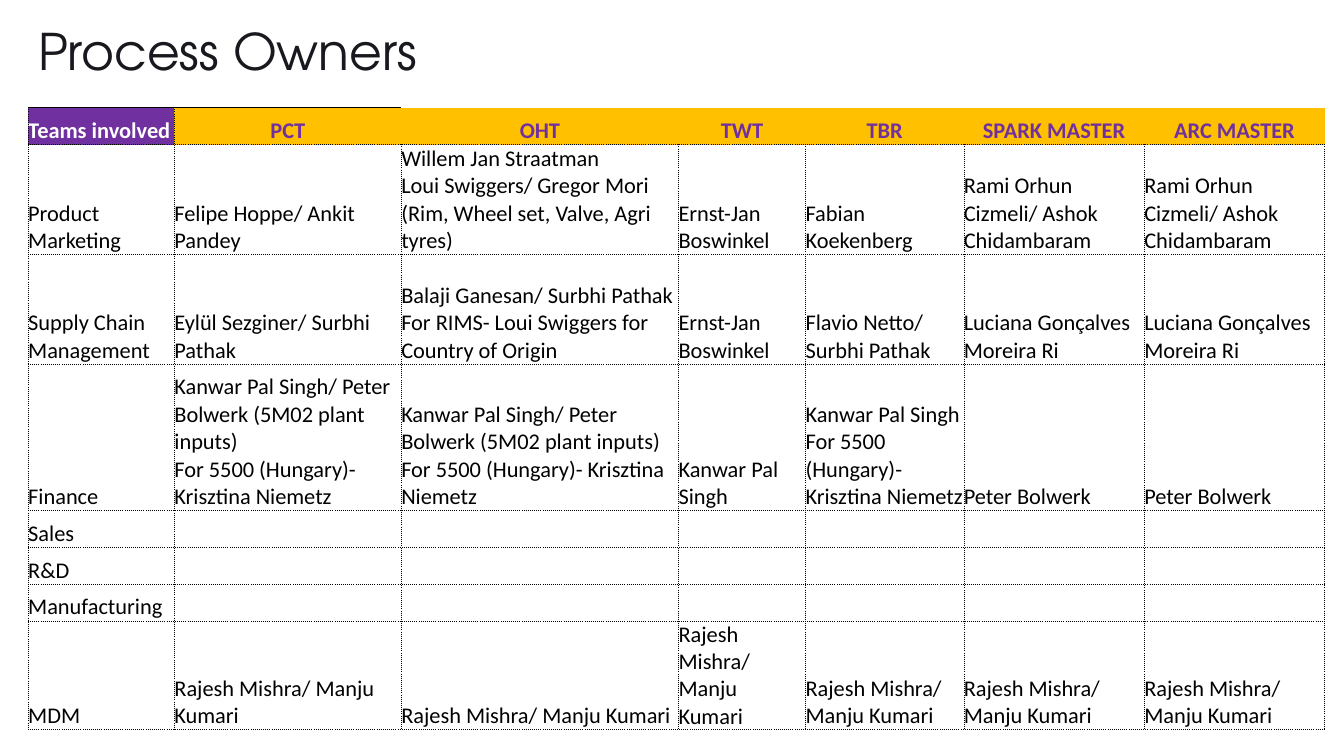
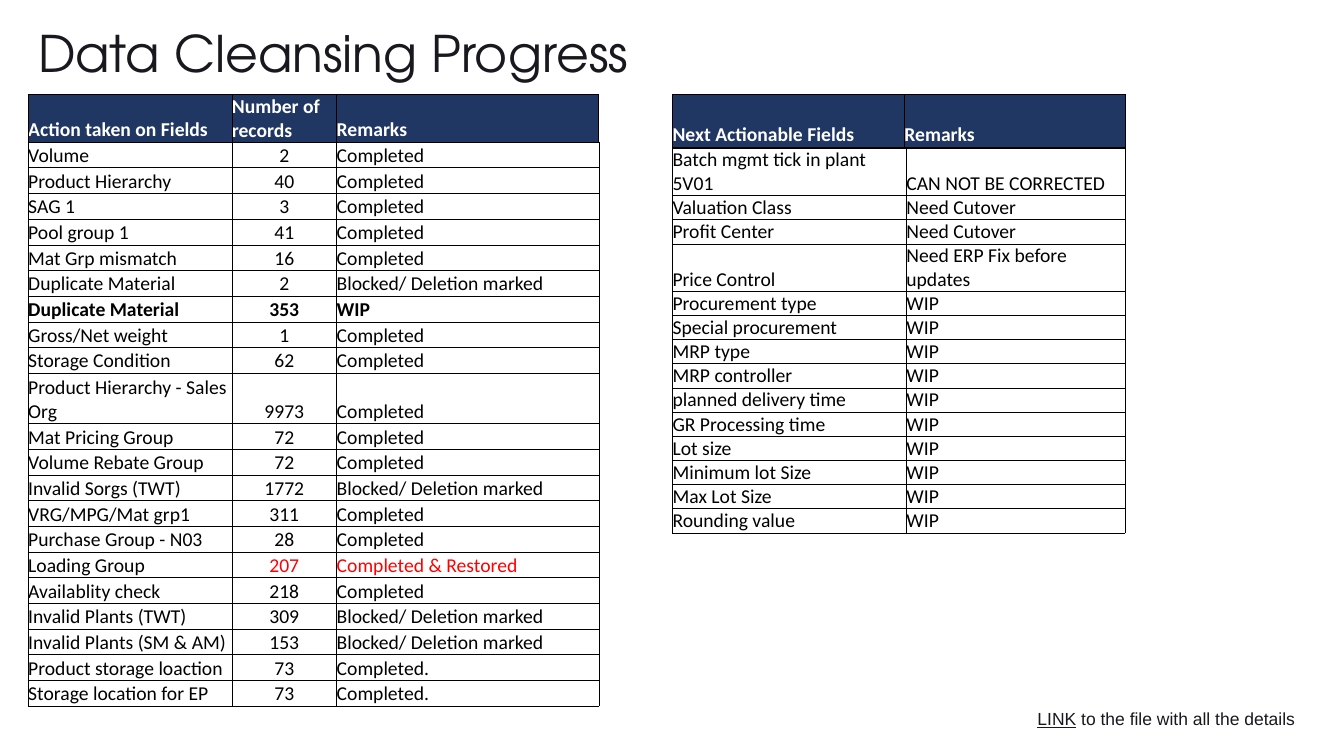
from dataclasses import dataclass

from lxml import etree
from pptx import Presentation
from pptx.dml.color import RGBColor
from pptx.enum.text import MSO_ANCHOR, PP_ALIGN
from pptx.oxml.ns import qn
from pptx.util import Emu, Pt

LEFT, CENTER = PP_ALIGN.LEFT, PP_ALIGN.CENTER
TOP, BOTTOM = MSO_ANCHOR.TOP, MSO_ANCHOR.BOTTOM
BLANK_LAYOUT = 6
EMU_PER_PX = 4572  # 200 px to the inch


@dataclass(frozen=True)
class Theme:
    ink: str = "18181E"
    black: str = "000000"
    white: str = "FFFFFF"
    purple: str = "7030A0"
    amber: str = "FFC000"
    navy: str = "203764"
    red: str = "FF0000"
    title_font: str = "TeX Gyre Adventor"
    table_font: str = "Calibri"
    note_font: str = "Arial"
    title_size: float = 36
    owners_size: float = 16
    progress_size: float = 14
    note_size: float = 12.5
    thin: float = 0.5
    thick: float = 1


THEME = Theme()


@dataclass(frozen=True)
class Look:
    """Appearance of one cell; edges maps L, R, T, B to (points, dash)."""
    edges: dict
    fill: str = ""
    color: str = THEME.black
    bold: bool = False
    align: PP_ALIGN = LEFT


DOTTED = (THEME.thin, "sysDot")
SOLID = (THEME.thin, "solid")
HEAVY = (THEME.thick, "solid")
DOTTED_BOX = dict.fromkeys("LRTB", DOTTED)
SOLID_BOX = dict.fromkeys("LRTB", SOLID)

# Content
OWNERS_MDM = "Rajesh Mishra/ Manju Kumari"
OWNERS_FINANCE = ("Kanwar Pal Singh/ Peter Bolwerk (5M02 plant inputs)\n"
                  "For 5500 (Hungary)- Krisztina Niemetz")
OWNERS_SPARK = "Rami Orhun Cizmeli/ Ashok Chidambaram"
OWNERS_SUPPLY = "Luciana Gonçalves Moreira Ri"
OWNERS = [
    ("Teams involved", "PCT", "OHT", "TWT", "TBR", "SPARK MASTER", "ARC MASTER"),
    ("Product Marketing", "Felipe Hoppe/ Ankit Pandey",
     "Willem Jan Straatman \nLoui Swiggers/ Gregor Mori (Rim, Wheel set, Valve, Agri tyres)",
     "Ernst-Jan Boswinkel", "Fabian Koekenberg", OWNERS_SPARK, OWNERS_SPARK),
    ("Supply Chain Management", "Eylül Sezginer/ Surbhi Pathak",
     "Balaji Ganesan/ Surbhi Pathak\nFor RIMS- Loui Swiggers for Country of Origin",
     "Ernst-Jan Boswinkel", "Flavio Netto/ Surbhi Pathak", OWNERS_SUPPLY, OWNERS_SUPPLY),
    ("Finance", OWNERS_FINANCE, OWNERS_FINANCE, "Kanwar Pal Singh",
     "Kanwar Pal Singh\nFor 5500 (Hungary)- Krisztina Niemetz",
     "Peter Bolwerk", "Peter Bolwerk"),
    ("Sales",) + ("",) * 6,
    ("R&D",) + ("",) * 6,
    ("Manufacturing",) + ("",) * 6,
    ("MDM",) + (OWNERS_MDM,) * 6,
]

DONE = "Completed"
BLOCKED = "Blocked/ Deletion marked"
ACTIONS = [
    ("Action taken on Fields", "Number of records", "Remarks"),
    ("Volume", "2", DONE),
    ("Product Hierarchy", "40", DONE),
    ("SAG 1", "3", DONE),
    ("Pool group 1", "41", DONE),
    ("Mat Grp mismatch", "16", DONE),
    ("Duplicate Material", "2", BLOCKED),
    ("Duplicate Material", "353", "WIP"),
    ("Gross/Net weight", "1", DONE),
    ("Storage Condition", "62", DONE),
    ("Product Hierarchy - Sales Org", "9973", DONE),
    ("Mat Pricing Group", "72", DONE),
    ("Volume Rebate Group", "72", DONE),
    ("Invalid Sorgs (TWT)", "1772", BLOCKED),
    ("VRG/MPG/Mat grp1", "311", DONE),
    ("Purchase Group - N03", "28", DONE),
    ("Loading Group", "207", "Completed & Restored"),
    ("Availablity check", "218", DONE),
    ("Invalid Plants (TWT)", "309", BLOCKED),
    ("Invalid Plants (SM & AM)", "153", BLOCKED),
    ("Product storage loaction", "73", "Completed."),
    ("Storage location for EP", "73", "Completed."),
]
WIP_ROW = 7
LONG_ROW = 10
RESTORED_ROW = 16

NEXT_HEADER = [("Next Actionable Fields", "Remarks")]
WIP_FIELDS = [
    "Procurement type", "Special procurement", "MRP type", "MRP controller",
    "planned delivery time", "GR Processing time", "Lot size",
    "Minimum lot Size", "Max Lot Size", "Rounding value",
]
NEXT_FIELDS = [
    ("Batch mgmt tick in plant 5V01", "CAN NOT BE CORRECTED"),
    ("Valuation Class", "Need Cutover"),
    ("Profit Center", "Need Cutover"),
    ("Price Control", "Need ERP Fix before updates"),
] + [(field, "WIP") for field in WIP_FIELDS]


# Building blocks
def px(length):
    return Emu(length * EMU_PER_PX)


def set_font(font, name, size, color, bold=False):
    font.name, font.size, font.bold = name, Pt(size), bold
    font.color.rgb = RGBColor.from_string(color)


def add_text_box(page, left, top, width, height):
    box = page.shapes.add_textbox(px(left), px(top), px(width), px(height))
    box.text_frame.word_wrap = True
    box.text_frame.vertical_anchor = TOP
    return box.text_frame


def add_title(page, text, top, line_spacing):
    para = add_text_box(page, 56, top, 1920, 132).paragraphs[0]
    para.text = text
    para.line_spacing = line_spacing
    set_font(para.font, THEME.title_font, THEME.title_size, THEME.ink)


def add_link_note(page):
    frame = add_text_box(page, 2058, 1404, 588, 42)
    frame.margin_left = frame.margin_right = frame.margin_top = frame.margin_bottom = 0
    para = frame.paragraphs[0]
    set_font(para.font, THEME.note_font, THEME.note_size, THEME.ink)
    for text, underline in (("LINK", True), (" to the file with all the details", False)):
        span = para.add_run()
        span.text = text
        span.font.underline = underline


def draw_edges(cell, edges):
    properties = cell._tc.get_or_add_tcPr()
    for position, side in enumerate("LRTB"):
        line = etree.Element(qn(f"a:ln{side}"))
        properties.insert(position, line)
        if side not in edges:
            etree.SubElement(line, qn("a:noFill"))
            continue
        points, dash = edges[side]
        line.set("w", str(Pt(points)))
        fill = etree.SubElement(line, qn("a:solidFill"))
        etree.SubElement(fill, qn("a:srgbClr"), val=THEME.black)
        etree.SubElement(line, qn("a:prstDash"), val=dash)


def fill_cell(cell, text, size, look):
    cell.margin_left = cell.margin_right = cell.margin_top = cell.margin_bottom = 0
    cell.vertical_anchor = BOTTOM
    if look.fill:
        cell.fill.solid()
        cell.fill.fore_color.rgb = RGBColor.from_string(look.fill)
    else:
        cell.fill.background()
    draw_edges(cell, look.edges)
    para = cell.text_frame.paragraphs[0]
    para.text = text.replace("\n", "\v")
    para.alignment = look.align
    set_font(para.font, THEME.table_font, size, look.color, look.bold)


def add_grid(page, left, top, widths, heights, rows, size, look_of):
    frame = page.shapes.add_table(len(rows), len(widths), px(left), px(top),
                                  px(sum(widths)), px(sum(heights)))
    table = frame.table
    table.first_row = table.horz_banding = False
    for column, width in zip(table.columns, widths):
        column.width = px(width)
    for row, height in zip(table.rows, heights):
        row.height = px(height)
    for i, texts in enumerate(rows):
        for j, text in enumerate(texts):
            fill_cell(table.cell(i, j), text, size, look_of(i, j))


# Rules for the look of each table
def owners_look(row, column):
    if row > 0:
        return Look(DOTTED_BOX)
    if column == 0:
        return Look({**DOTTED_BOX, "T": HEAVY}, THEME.purple, THEME.white, True)
    edges = {"L": DOTTED, "T": HEAVY, "B": DOTTED} if column == 1 else {"B": DOTTED}
    return Look(edges, THEME.amber, THEME.purple, True, CENTER)


def navy_header_look(last):
    edges = {**SOLID_BOX, "T": HEAVY, "R": HEAVY if last else SOLID}
    return Look(edges, THEME.navy, THEME.white, True)


def actions_look(row, column):
    if row == 0:
        return navy_header_look(column == 2)
    restored = row == RESTORED_ROW and column > 0
    return Look(SOLID_BOX, color=THEME.red if restored else THEME.black,
                bold=row == WIP_ROW, align=CENTER if column == 1 else LEFT)


def next_header_look(row, column):
    return navy_header_look(column == 1)


def next_fields_look(row, column):
    return Look(SOLID_BOX)


# Slides
def build_owners(page):
    add_title(page, "Process Owners", 44, 0.9)
    add_grid(page, 56, 214, [290, 450, 550, 252, 314, 358, 358],
             [73, 218, 218, 290, 73, 73, 73, 216],
             OWNERS, THEME.owners_size, owners_look)


def build_progress(page):
    add_link_note(page)
    add_title(page, "Data Cleansing Progress", 34, 1.0)
    action_heights = [51] * len(ACTIONS)
    action_heights[0], action_heights[LONG_ROW] = 94, 100
    add_grid(page, 56, 188, [404, 208, 520], action_heights,
             ACTIONS, THEME.progress_size, actions_look)
    next_heights = [48] * len(NEXT_FIELDS)
    next_heights[0] = next_heights[3] = 94
    add_grid(page, 1334, 294, [464, 434], next_heights,
             NEXT_FIELDS, THEME.progress_size, next_fields_look)
    add_grid(page, 1334, 188, [460, 438], [104],
             NEXT_HEADER, THEME.progress_size, next_header_look)


def main():
    deck = Presentation()
    deck.slide_width, deck.slide_height = px(2666), px(1500)
    for build in (build_owners, build_progress):
        build(deck.slides.add_slide(deck.slide_layouts[BLANK_LAYOUT]))
    deck.save("out.pptx")


if __name__ == "__main__":
    main()
